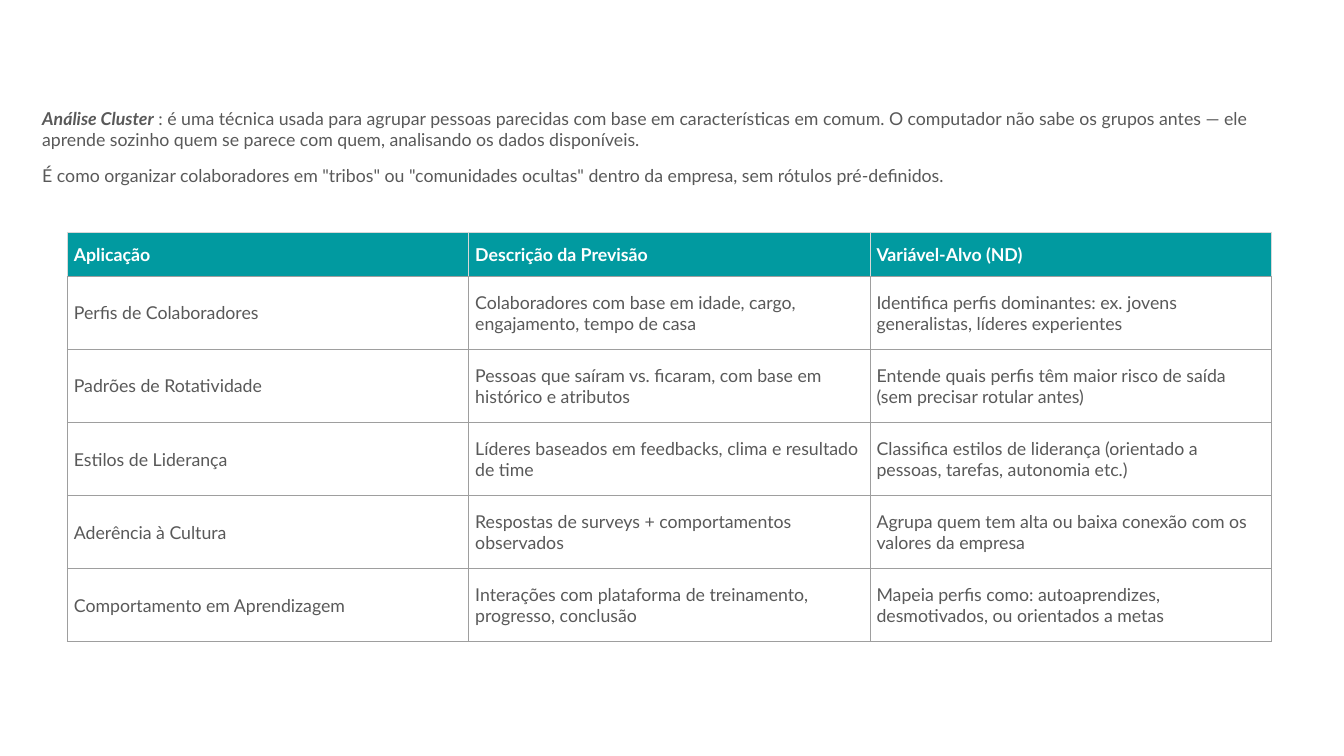
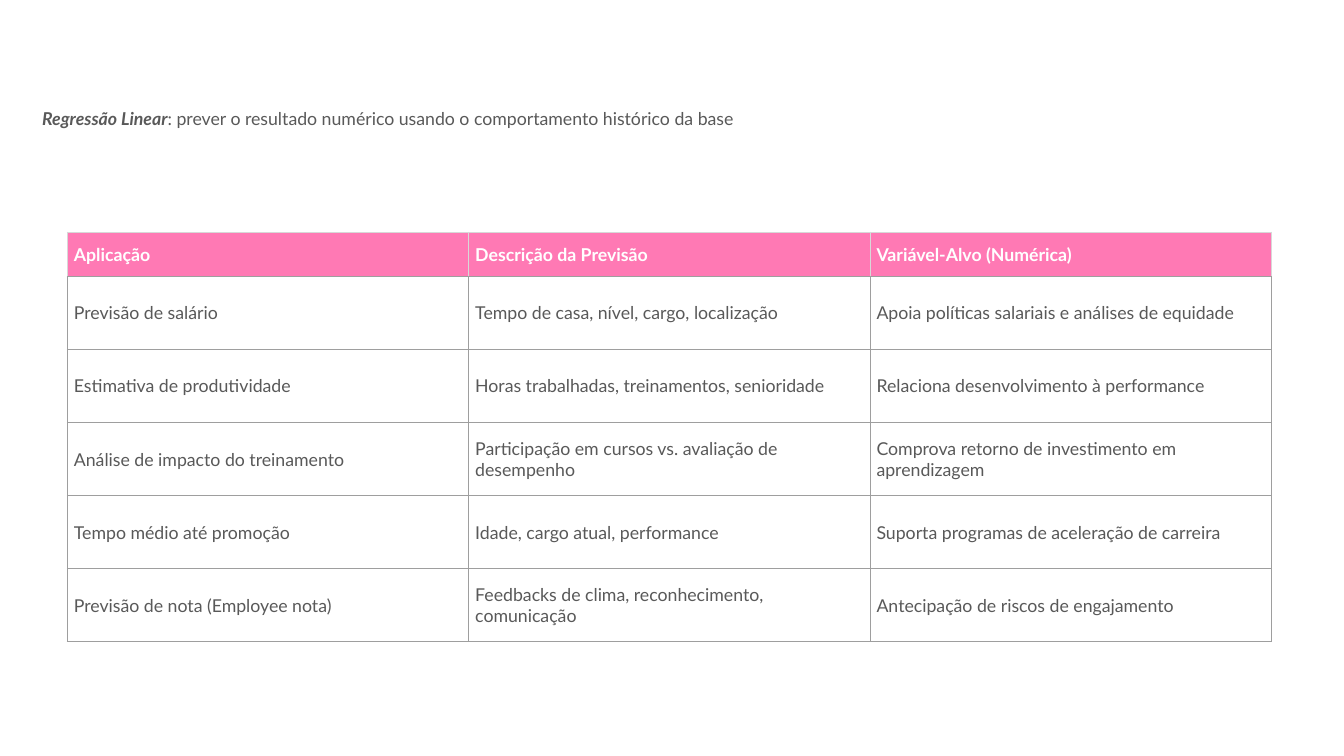
from lxml.etree import SubElement
from pptx import Presentation
from pptx.dml.color import RGBColor
from pptx.enum.text import MSO_ANCHOR as Anchor, MSO_AUTO_SIZE as AutoSize
from pptx.oxml.ns import qn
from pptx.util import Pt

# Shared look
TEAL = RGBColor(0x01, 0x9A, 0xA0)
PINK = RGBColor(0xFF, 0x79, 0xB4)
WHITE = RGBColor(0xFF, 0xFF, 0xFF)
TEXT_GRAY = RGBColor(0x59, 0x59, 0x59)
GRID_GRAY = RGBColor(0x9E, 0x9E, 0x9E)
HEADER_EDGE = RGBColor(0xD8, 0xD8, 0xD8)
BASE_FONT = {"name": "Lato", "size": Pt(19)}
MARGIN = Pt(7.2)
MARGINS = {f"margin_{side}": MARGIN for side in ("left", "top", "right", "bottom")}

# Boxes in points: left, top, width, height
INTRO_BOX = (38.16, 108, 1345, 134.64)
SHORT_INTRO_BOX = (38.16, 108, 1345, 60.5)
TABLE_BOX = (72, 248.4, 1290, 439.25)
HEADER_HEIGHT = 48

CLUSTER = {
    "accent": TEAL,
    "intro_box": INTRO_BOX,
    "term": "Análise Cluster",
    "intro": [
        " : é uma técnica usada para agrupar pessoas parecidas com base em "
        "características em comum. O computador não sabe os grupos antes — ele "
        "aprende sozinho quem se parece com quem, analisando os dados disponíveis.",
        'É como organizar colaboradores em "tribos" ou "comunidades ocultas" '
        "dentro da empresa, sem rótulos pré-definidos.",
    ],
    "rows": [
        ("Aplicação", "Descrição da Previsão", "Variável-Alvo (ND)"),
        ("Perfis de Colaboradores",
         "Colaboradores com base em idade, cargo, engajamento, tempo de casa",
         "Identifica perfis dominantes: ex. jovens generalistas, líderes experientes"),
        ("Padrões de Rotatividade",
         "Pessoas que saíram vs. ficaram, com base em histórico e atributos",
         "Entende quais perfis têm maior risco de saída (sem precisar rotular antes)"),
        ("Estilos de Liderança",
         "Líderes baseados em feedbacks, clima e resultado de time",
         "Classifica estilos de liderança (orientado a pessoas, tarefas, autonomia etc.)"),
        ("Aderência à Cultura",
         "Respostas de surveys + comportamentos observados",
         "Agrupa quem tem alta ou baixa conexão com os valores da empresa"),
        ("Comportamento em Aprendizagem",
         "Interações com plataforma de treinamento, progresso, conclusão",
         "Mapeia perfis como: autoaprendizes, desmotivados, ou orientados a metas"),
    ],
}

REGRESSION = {
    "accent": PINK,
    "intro_box": SHORT_INTRO_BOX,
    "term": "Regressão Linear",
    "intro": [": prever o resultado numérico usando o comportamento histórico da base"],
    "rows": [
        ("Aplicação", "Descrição da Previsão", "Variável-Alvo (Numérica)"),
        ("Previsão de salário", "Tempo de casa, nível, cargo, localização",
         "Apoia políticas salariais e análises de equidade"),
        ("Estimativa de produtividade", "Horas trabalhadas, treinamentos, senioridade",
         "Relaciona desenvolvimento à performance"),
        ("Análise de impacto do treinamento",
         "Participação em cursos vs. avaliação de desempenho",
         "Comprova retorno de investimento em aprendizagem"),
        ("Tempo médio até promoção", "Idade, cargo atual, performance",
         "Suporta programas de aceleração de carreira"),
        ("Previsão de nota (Employee nota)",
         "Feedbacks de clima, reconhecimento, comunicação",
         "Antecipação de riscos de engajamento"),
    ],
}


def set_attributes(target, values):
    for name, value in values.items():
        setattr(target, name, value)


def add_run(paragraph, text, color, bold=False, italic=False):
    run = paragraph.add_run()
    run.text = text
    set_attributes(run.font, {**BASE_FONT, "bold": bold, "italic": italic})
    run.font.color.rgb = color


def set_borders(cell, colors):
    """Draw the cell edges; colors maps L, R, T and B, in that order."""
    properties = cell._tc.get_or_add_tcPr()
    for side, color in colors.items():
        line = SubElement(properties, qn(f"a:ln{side}"), w=str(Pt(0.75)))
        fill = SubElement(line, qn("a:solidFill"))
        SubElement(fill, qn("a:srgbClr"), val=str(color))


def add_intro(slide, box, term, texts):
    shape = slide.shapes.add_textbox(*map(Pt, box))
    frame = shape.text_frame
    set_attributes(frame, {**MARGINS, "word_wrap": True,
                           "auto_size": AutoSize.SHAPE_TO_FIT_TEXT})
    # Definition, led by the term
    paragraph = frame.paragraphs[0]
    add_run(paragraph, term, TEXT_GRAY, bold=True, italic=True)
    add_run(paragraph, texts[0], TEXT_GRAY)
    # Further explanation
    for text in texts[1:]:
        paragraph = frame.add_paragraph()
        set_attributes(paragraph, {"line_spacing": 1.15, "space_before": Pt(12)})
        add_run(paragraph, text, TEXT_GRAY)


def add_application_table(slide, box, rows, accent):
    width, height = box[2:]
    table = slide.shapes.add_table(len(rows), len(rows[0]), *map(Pt, box)).table
    table.horz_banding = False
    for column in table.columns:
        column.width = Pt(width / len(rows[0]))
    body_height = (height - HEADER_HEIGHT) / (len(rows) - 1)

    for row_index, texts in enumerate(rows):
        is_header = row_index == 0
        table.rows[row_index].height = Pt(HEADER_HEIGHT if is_header else body_height)
        edge = HEADER_EDGE if is_header else GRID_GRAY
        for cell, text in zip(table.rows[row_index].cells, texts):
            set_attributes(cell, {**MARGINS, "vertical_anchor": Anchor.MIDDLE})
            set_borders(cell, {"L": edge, "R": edge, "T": edge, "B": GRID_GRAY})
            if is_header:
                cell.fill.solid()
                cell.fill.fore_color.rgb = accent
            else:
                cell.fill.background()
            add_run(cell.text_frame.paragraphs[0], text,
                    WHITE if is_header else TEXT_GRAY, bold=is_header)


def add_technique_slide(presentation, technique):
    slide = presentation.slides.add_slide(presentation.slide_layouts[6])
    add_intro(slide, technique["intro_box"], technique["term"], technique["intro"])
    add_application_table(slide, TABLE_BOX, technique["rows"], technique["accent"])


def main():
    presentation = Presentation()
    set_attributes(presentation, {"slide_width": Pt(1440), "slide_height": Pt(810)})
    for technique in (CLUSTER, REGRESSION):
        add_technique_slide(presentation, technique)
    presentation.save("out.pptx")


if __name__ == "__main__":
    main()
